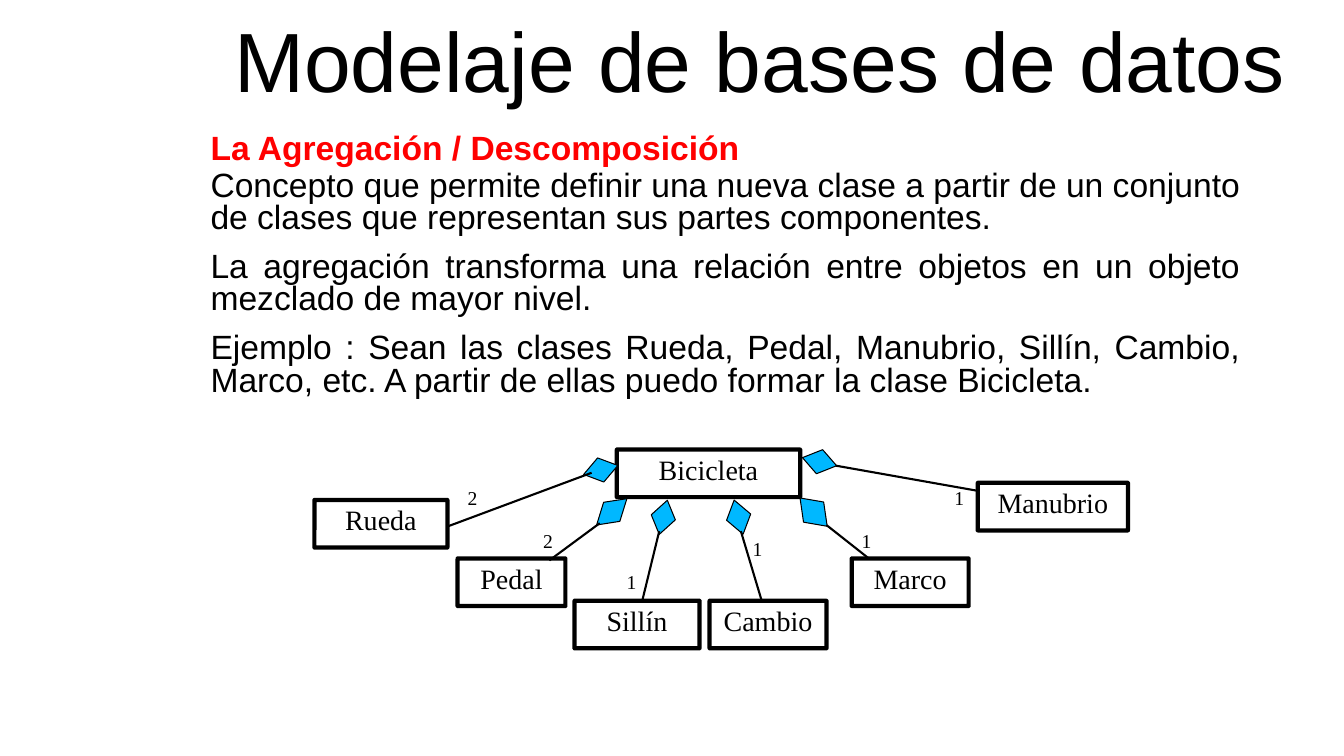
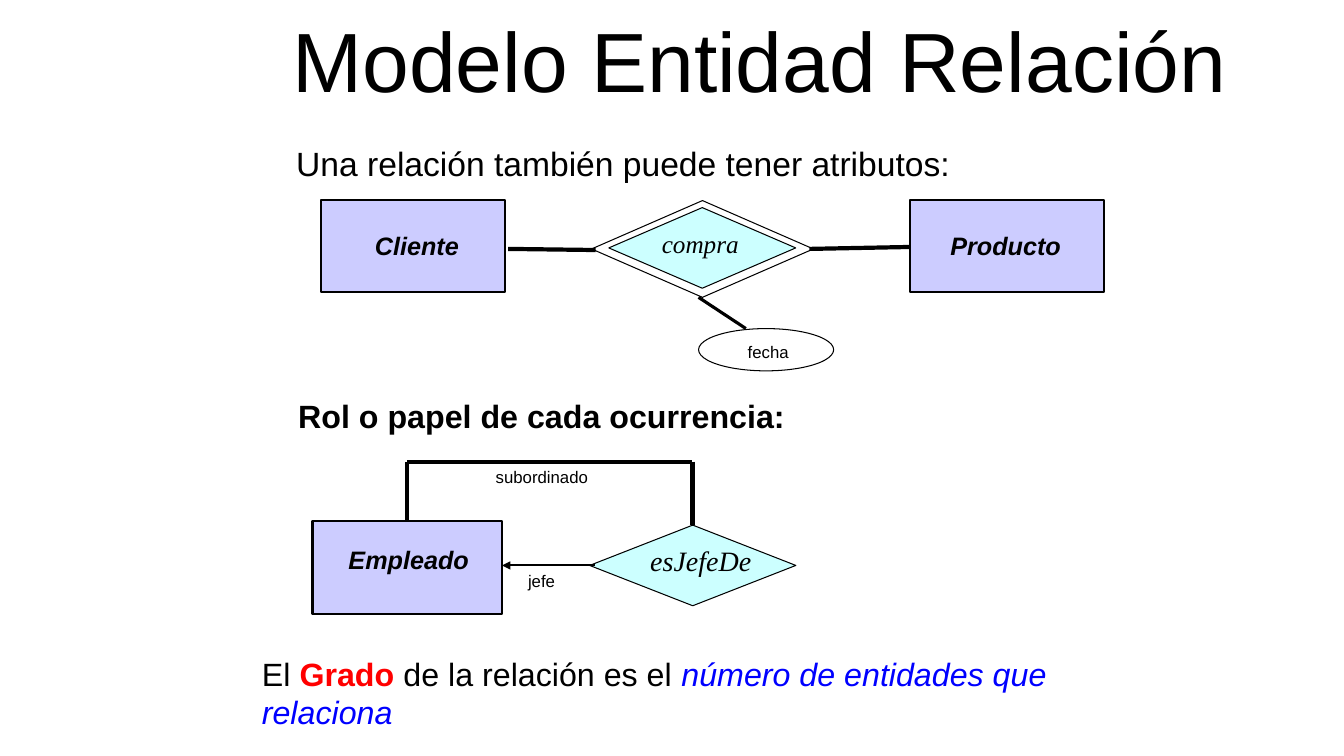
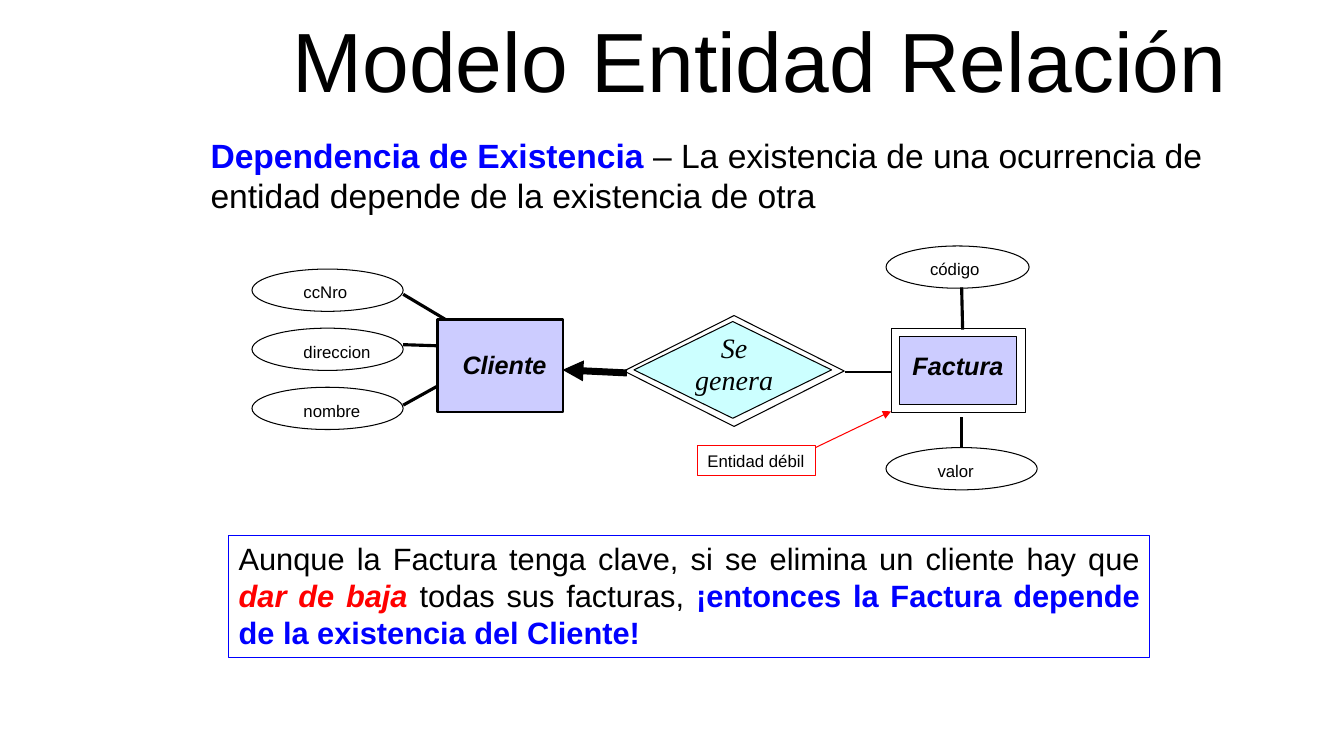
from dataclasses import dataclass
from typing import Any

from lxml.etree import SubElement
from pptx import Presentation
from pptx.dml.color import RGBColor
from pptx.enum.shapes import MSO_CONNECTOR, MSO_SHAPE as SHAPE
from pptx.enum.text import MSO_ANCHOR as ANCHOR, PP_ALIGN as ALIGN
from pptx.oxml.ns import qn
from pptx.util import Pt

# Shared colours, fonts and text styles
BLACK, RED, BLUE = "000000", "FF0000", "0000FF"
ENTITY_FILL, RELATION_FILL, AGGREGATE_FILL = "CCCCFF", "CCFFFF", "00B8FF"
SANS, SERIF = "Arial", "Times New Roman"
INSETS = (7.2, 3.6, 7.2, 3.6)

TITLE = dict(size=60, align=ALIGN.CENTER, spacing=0.9, anchor=ANCHOR.MIDDLE)
BODY = dict(size=24)
LEAD = dict(size=23)
SMALL = dict(size=12)
ENTITY = dict(size=18, bold=True, italic=True, align=ALIGN.CENTER,
              anchor=ANCHOR.MIDDLE)
RELATION = dict(size=20, italic=True, font=SERIF, align=ALIGN.CENTER,
                spacing=0.95, anchor=ANCHOR.MIDDLE)
CLASS = dict(size=20, font=SERIF, align=ALIGN.CENTER, spacing=0.95)
COUNT = dict(size=14, font=SERIF, spacing=0.95)


def rgb(code):
    return RGBColor.from_string(code)


def paint(shape, fill, line, width):
    shape.shadow.inherit = False
    if fill:
        shape.fill.solid()
        shape.fill.fore_color.rgb = rgb(fill)
    else:
        shape.fill.background()
    shape.line.color.rgb = rgb(line)
    shape.line.width = Pt(width)


def write(frame, paragraphs, size, font=SANS, color=BLACK, bold=False, italic=False,
          align=ALIGN.LEFT, anchor=ANCHOR.TOP, spacing=1.0, before=0, after=0,
          insets=INSETS, wrap=True):
    """Each paragraph is a string or a list of (text, run overrides)."""
    frame.word_wrap = wrap
    frame.vertical_anchor = anchor
    (frame.margin_left, frame.margin_top,
     frame.margin_right, frame.margin_bottom) = map(Pt, insets)
    for index, content in enumerate(paragraphs):
        paragraph = frame.add_paragraph() if index else frame.paragraphs[0]
        paragraph.alignment = align
        paragraph.line_spacing = spacing
        paragraph.space_before = Pt(before if index else 0)
        paragraph.space_after = Pt(after if index else 0)
        pieces = [(content, {})] if isinstance(content, str) else content
        for words, change in pieces:
            run = paragraph.add_run()
            run.text = words
            run.font.size, run.font.name = Pt(size), font
            run.font.bold = change.get("bold", bold)
            run.font.italic = change.get("italic", italic)
            run.font.color.rgb = rgb(change.get("color", color))


def shifted(dx, dy):
    """Insets that move centred text by dx, dy."""
    return (max(0, 2 * dx), max(0, 2 * dy), max(0, -2 * dx), max(0, -2 * dy))


@dataclass
class Region:
    """Part of a slide; positions are points from its corner."""
    slide: Any
    left: float = 0
    top: float = 0

    def frame(self, box):
        x, y, width, height = box
        return Pt(self.left + x), Pt(self.top + y), Pt(width), Pt(height)

    def text(self, box, *paragraphs, **style):
        area = self.slide.shapes.add_textbox(*self.frame(box))
        write(area.text_frame, paragraphs, **style)

    def shape(self, kind, box, fill=None, line=BLACK, width=0.75):
        shape = self.slide.shapes.add_shape(kind, *self.frame(box))
        paint(shape, fill, line, width)
        return shape

    def line(self, start, end, width, color=BLACK, arrow=False):
        (x1, y1), (x2, y2) = start, end
        line = self.slide.shapes.add_connector(
            MSO_CONNECTOR.STRAIGHT, Pt(self.left + x1), Pt(self.top + y1),
            Pt(self.left + x2), Pt(self.top + y2))
        line.line.color.rgb = rgb(color)
        line.line.width = Pt(width)
        if arrow:
            SubElement(line.line._get_or_add_ln(), qn("a:tailEnd"), type="triangle")
        SubElement(line._element.spPr, qn("a:effectLst"))

    # Entity-relationship symbols
    def entity(self, box, name, shift=(0, 0), width=1.5):
        shape = self.shape(SHAPE.RECTANGLE, box, ENTITY_FILL, width=width)
        write(shape.text_frame, [name], insets=shifted(*shift), **ENTITY)

    def relation(self, box, name, shift, wrap=False, **style):
        shape = self.shape(SHAPE.DIAMOND, box, RELATION_FILL)
        write(shape.text_frame, [name], insets=shifted(*shift), wrap=wrap,
              **{**RELATION, **style})

    def attribute(self, box, name, indent=21):
        shape = self.shape(SHAPE.OVAL, box)
        write(shape.text_frame, [name], insets=(indent, 3, 0, 0),
              anchor=ANCHOR.MIDDLE, **SMALL)

    # Class-diagram symbols
    def class_box(self, x, y, width, name):
        shape = self.shape(SHAPE.ROUNDED_RECTANGLE, (x, y, width, 34), width=3)
        shape.adjustments[0] = 0.004
        write(shape.text_frame, [name], **CLASS)

    def aggregate(self, centre, along, across):
        x, y = self.left + centre[0], self.top + centre[1]
        corners = [(Pt(x + sign * dx), Pt(y + sign * dy))
                   for sign in (1, -1) for dx, dy in (along, across)]
        builder = self.slide.shapes.build_freeform(*corners[0], scale=1.0)
        builder.add_line_segments(corners[1:], close=True)
        paint(builder.convert_to_shape(), AGGREGATE_FILL, BLACK, 0.75)


# Class, (x, y, width), link from part to whole, count, its place,
# diamond centre and its two half diagonals
PARTS = [
    ("Rueda", (4.6, 37.1, 95), (100.4, 55.8), (202.6, 17.7), "2", (106.9, 24.9),
     (209.1, 15.7), (12.2, -3.2), (-2.2, -8.6)),
    ("Pedal", (106.9, 78.9, 77), (172.4, 80.3), (208.4, 53.7), "2", (160.9, 55.1),
     (217, 45.6), (10.8, -9.4), (-5.8, -6.8)),
    ("Sillín", (190.4, 109.1, 89.3), (238.6, 109.8), (250.9, 59.4), "1", (220.6, 84.6),
     (253.8, 49.5), (2.9, -12.2), (-8.6, -1.8)),
    ("Cambio", (286.9, 109.1, 83.5), (324.3, 109.8), (309.2, 59.4), "1", (310.6, 60.9),
     (307.6, 49.4), (-3.2, -12.2), (-8.6, 2.2)),
    ("Marco", (388.4, 78.9, 83.5), (400.6, 78.9), (370.4, 55.1), "1", (388.4, 55.1),
     (361.2, 45.8), (9.7, 10.1), (7.2, -7.2)),
    ("Manubrio", (478.4, 24.9, 107.3), (478.4, 30.6), (376.9, 12.6), "1", (454.6, 24.9),
     (365.4, 9.8), (12.2, 2.9), (2.2, -8.6)),
]


def bicycle_diagram(area):
    area.class_box(220.6, 1.1, 131, "Bicicleta")
    for name, box, start, end, count, place, centre, along, across in PARTS:
        area.class_box(*box, name)
        area.aggregate(centre, along, across)
        area.line(start, end, 1.5)
        area.text((*place, 24, 24), count, **COUNT)


def purchase_diagram(area):
    area.entity((9, 2.6, 131.8, 66.2), "Cliente", (2.9, -0.7))
    area.entity((430.2, 2.6, 138.2, 66.2), "Producto", (-1, -0.7))
    area.line((142.9, 37.8), (205.5, 38.6), 3)
    area.line((358.2, 37.8), (430.2, 36.4), 3)
    area.attribute((279, 94.7, 96.5, 30.2), "fecha")
    area.line((279, 72.4), (312.8, 94.7), 2.25)
    area.relation((214.9, 8.3, 133.5, 57.6), "compra", (-1.4, -2.5), size=18)
    area.shape(SHAPE.DIAMOND, (202.6, 3.3, 158.4, 69.1))


def role_diagram(area):
    area.entity((3.2, 47.2, 135.4, 66.2), "Empleado", (1, -5.8))
    area.relation((201.2, 50.1, 147.3, 57.6), "esJefeDe", (5.8, -2.5))
    area.line((204.8, 78.9), (138.6, 78.9), 1.5, arrow=True)
    # Loop back to the same entity
    loop = [(70.9, 47.2), (70.9, 4.8), (274.6, 4.8), (274.6, 50.1)]
    for start, end in zip(loop, loop[1:]):
        area.line(start, end, 3)
    area.text((150.1, 78.9, 45, 21.6), "jefe", **SMALL)
    area.text((127, 4.8, 90, 21.6), "subordinado", **SMALL)


def invoice_diagram(area):
    # Client and its attributes
    area.entity((137.5, 58.2, 90, 66.2), "Cliente", (2.9, -0.7))
    for row, name in enumerate(["ccNro", "direccion", "nombre"]):
        area.attribute((5, 22.2 + 42.2 * row, 108, 30.2), name)
    for start, end in [((113, 40.2), (143.2, 58.2)), ((113, 76.2), (137.5, 77)),
                       ((113, 119.4), (137.5, 105.8))]:
        area.line(start, end, 2.25)
    # Identifying relation
    area.relation((277.9, 59.7, 141.1, 69.1), "Se genera", (1, -3.6), wrap=True)
    area.shape(SHAPE.DIAMOND, (270.7, 55.4, 157.3, 79.2))
    area.line((428.4, 95.7), (461.5, 95.7), 1)
    area.line((272.8, 96.4), (226.8, 94.2), 5, arrow=True)
    # Weak entity and its attributes
    area.shape(SHAPE.RECTANGLE, (461.5, 64.7, 95.8, 59.8))
    area.entity((467.2, 70.5, 84.2, 48.2), "Factura", (0, -3.9), width=0.75)
    area.attribute((457.9, 5.7, 102.2, 30.2), "código", 16.5)
    area.attribute((457.9, 149.7, 108, 30.2), "valor")
    area.line((511.9, 35.2), (512.6, 65.4), 2.25)
    area.line((511.9, 149), (511.9, 128.1), 2.25)
    note = area.shape(SHAPE.RECTANGLE, (323.2, 148.2, 84.2, 21.6), line=RED, width=1)
    write(note.text_frame, ["Entidad débil"], insets=(7.2, 3.6, 3, 3.6), **SMALL)
    area.line((407.5, 149.7), (461.5, 123.8), 0.75, RED, arrow=True)


def titled_slide(deck, title):
    page = Region(deck.slides.add_slide(deck.slide_layouts[6]))
    page.text((143.3, 0, 798.5, 92.9), title, **TITLE)
    return page


def aggregation_slide(deck):
    page = titled_slide(deck, "Modelaje de bases de datos")
    page.text(
        (143.3, 92.9, 749.5, 205),
        [("La Agregación / Descomposición", dict(color=RED, bold=True))],
        "Concepto que permite definir una nueva clase a partir de un conjunto de "
        "clases que representan sus partes componentes.",
        "La agregación transforma una relación entre objetos en un objeto mezclado "
        "de mayor nivel.",
        "Ejemplo : Sean las clases Rueda, Pedal, Manubrio, Sillín, Cambio, Marco, "
        "etc. A partir de ellas puedo formar la clase Bicicleta.",
        align=ALIGN.JUSTIFY, spacing=0.8, before=3, after=9, **BODY)
    bicycle_diagram(Region(page.slide, 220, 320))


def relation_slide(deck):
    page = titled_slide(deck, "Modelo Entidad Relación")
    page.text((204.5, 98.6, 534, 36.7), "Una relación también puede tener atributos:",
              **BODY)
    purchase_diagram(Region(page.slide, 220, 140))
    page.text((205.9, 279.4, 534, 35.3), "Rol o papel de cada ocurrencia:",
              bold=True, **LEAD)
    role_diagram(Region(page.slide, 220, 325))
    page.text((180, 463.7, 670, 35.3),
              [("El ", {}), ("Grado", dict(color=RED, bold=True)),
               (" de la relación es el ", {}),
               ("número de entidades que relaciona", dict(color=BLUE, italic=True))],
              **LEAD)


def dependency_slide(deck):
    page = titled_slide(deck, "Modelo Entidad Relación")
    page.text((143.3, 92.9, 749.5, 65.5),
              [("Dependencia de Existencia ", dict(color=BLUE, bold=True)),
               ("– La existencia de una ocurrencia de entidad depende de la "
                "existencia de otra", {})], **BODY)
    invoice_diagram(Region(page.slide, 175, 170))
    # Conclusion
    panel = page.shape(SHAPE.RECTANGLE, (163.4, 382.3, 658, 87.1), line=BLUE)
    write(panel.text_frame,
          [[("Aunque la Factura tenga clave, si se elimina un cliente hay que ", {}),
            ("dar de baja ", dict(color=RED, bold=True, italic=True)),
            ("todas sus facturas, ", {}),
            ("¡entonces la Factura depende de la existencia del Cliente!",
             dict(color=BLUE, bold=True))]],
          size=22, align=ALIGN.JUSTIFY)


def main():
    deck = Presentation()
    deck.slide_width, deck.slide_height = Pt(960), Pt(540)
    aggregation_slide(deck)
    relation_slide(deck)
    dependency_slide(deck)
    deck.save("out.pptx")


if __name__ == "__main__":
    main()
